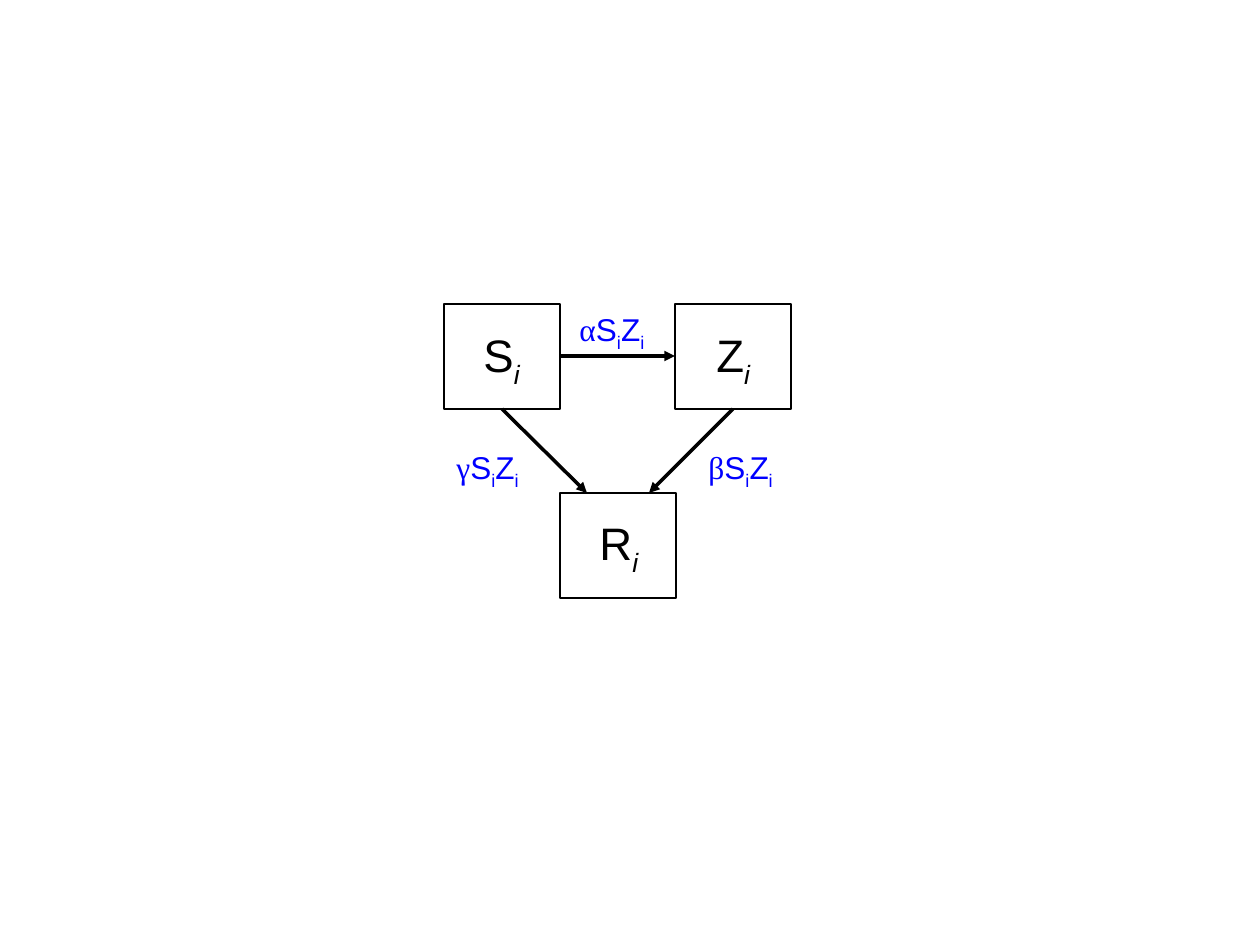
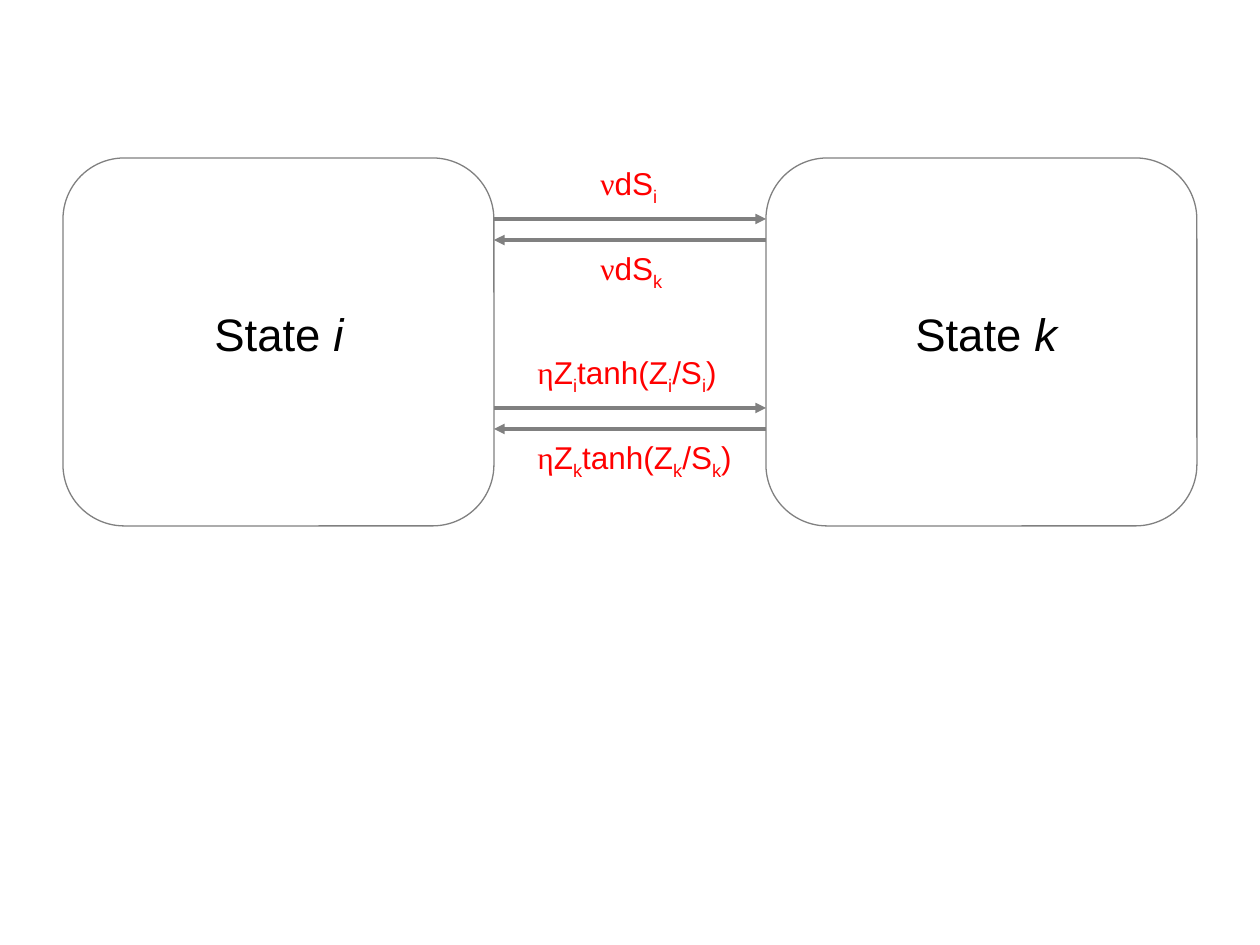
from dataclasses import dataclass

import pptx
import pptx.dml.color
import pptx.enum.shapes
import pptx.enum.text
import pptx.oxml
import pptx.oxml.ns
import pptx.util
from pptx.enum.shapes import MSO_SHAPE

PIXEL = 914400 // 126
COLORS = {"ink": "000000", "flow": "0000FF", "state": "808080", "travel": "FF0000"}
LATIN, GREEK = "Arial", "Times New Roman"
NAME_SIZE, RATE_SIZE = 26, 18
NAME_HEIGHT, RATE_HEIGHT = 68, 50


@dataclass(frozen=True)
class Frame:
    left: int
    top: int
    width: int
    height: int


@dataclass(frozen=True)
class Piece:
    text: str
    font: str = LATIN
    italic: bool = False
    subscript: bool = False


@dataclass(frozen=True)
class Label:
    frame: Frame
    pieces: list[Piece]
    size: int
    color: str


@dataclass(frozen=True)
class Arrow:
    start: tuple[int, int]
    end: tuple[int, int]
    color: str


def px(pixels: int) -> pptx.util.Emu:
    return pptx.util.Emu(pixels * PIXEL)


def rgb(color: str) -> pptx.dml.color.RGBColor:
    return pptx.dml.color.RGBColor.from_string(COLORS[color])


def formula(text: str) -> list[Piece]:
    """Split a formula: Greek first letter, then an index after each underscore."""
    first, *rest = text[1:].split("_")
    pieces = [Piece(text[0], font=GREEK), Piece(first)]
    for part in rest:
        pieces.append(Piece(part[0], subscript=True))
        if part[1:]:
            pieces.append(Piece(part[1:]))
    return pieces


def name_label(left: int, top: int, width: int, pieces: list[Piece]) -> Label:
    return Label(Frame(left, top, width, NAME_HEIGHT), pieces, NAME_SIZE, "ink")


def rate_label(left: int, top: int, width: int, text: str, color: str) -> Label:
    return Label(Frame(left, top, width, RATE_HEIGHT), formula(text), RATE_SIZE, color)


def draw_box(slide, kind: MSO_SHAPE, frame: Frame, color: str) -> None:
    box = slide.shapes.add_shape(
        kind, px(frame.left), px(frame.top), px(frame.width), px(frame.height))
    box.shadow.inherit = False
    box.fill.background()
    box.line.color.rgb = rgb(color)
    box.line.width = pptx.util.Pt(0.75)


def draw_arrow(slide, arrow: Arrow) -> None:
    connector = slide.shapes.add_connector(
        pptx.enum.shapes.MSO_CONNECTOR.STRAIGHT,
        *map(px, arrow.start), *map(px, arrow.end))
    connector.line.color.rgb = rgb(arrow.color)
    connector.line.width = pptx.util.Pt(2)
    namespace = pptx.oxml.ns.nsdecls("a")
    connector.line._get_or_add_ln().append(
        pptx.oxml.parse_xml(f'<a:tailEnd {namespace} type="triangle"/>'))
    connector._element.spPr.append(pptx.oxml.parse_xml(f"<a:effectLst {namespace}/>"))


def draw_label(slide, label: Label) -> None:
    frame = label.frame
    text_frame = slide.shapes.add_textbox(
        px(frame.left), px(frame.top), px(frame.width), px(frame.height)).text_frame
    text_frame.word_wrap = False
    text_frame.auto_size = pptx.enum.text.MSO_AUTO_SIZE.SHAPE_TO_FIT_TEXT
    for piece in label.pieces:
        run = text_frame.paragraphs[0].add_run()
        run.text = piece.text
        run.font.name = piece.font
        run.font.size = pptx.util.Pt(label.size)
        run.font.color.rgb = rgb(label.color)
        if piece.italic:
            run.font.italic = True
        if piece.subscript:
            run.font._element.set("baseline", "-25000")


def build_compartments(slide) -> None:
    width, height = 116, 105
    left, top = 444, 304
    bottom = top + height
    s_right, z_left = left + width, left + 2 * width - 1
    r_top = 493

    # Compartments and their names
    for box_left, box_top in ((left, top), (z_left, top), (s_right, r_top)):
        draw_box(slide, MSO_SHAPE.RECTANGLE,
                 Frame(box_left, box_top, width, height), "ink")
    for letter, name_left, name_top, name_width in (
            ("S", 471, 321, 67), ("Z", 704, 321, 64), ("R", 587, 509, 72)):
        index = Piece("i", italic=True, subscript=True)
        draw_label(slide, name_label(name_left, name_top, name_width,
                                     [Piece(letter), index]))

    # Flows between compartments
    middle = top + height // 2
    for start, end in (
            ((s_right, middle), (z_left, middle)),
            ((left + width // 2, bottom), (587, r_top)),
            ((z_left + width // 2, bottom), (649, r_top))):
        draw_arrow(slide, Arrow(start, end, "ink"))

    # Flow rates
    for greek, rate_left, rate_top, rate_width in (
            ("α", 567, top, 92), ("β", 696, 442, 92), ("γ", left, 442, 90)):
        draw_label(slide, rate_label(rate_left, rate_top, rate_width,
                                     greek + "S_iZ_i", "flow"))


def build_states(slide) -> None:
    width, height, top = 431, 368, 158
    left_state, right_state = 63, 766
    gap_left = left_state + width

    # States
    for left in (left_state, right_state):
        draw_box(slide, MSO_SHAPE.ROUNDED_RECTANGLE,
                 Frame(left, top, width, height), "state")

    # Travel out and back, with the rate above and below each pair of arrows
    for pair_top, rate_left, rate, out_width, back_width in (
            (top, 588, "νdS_{0}", 83, 89),
            (top + 189, 525, "ηZ_{0}tanh(Z_{0}/S_{0})", 210, 228)):
        out, back = pair_top + 61, pair_top + 82
        draw_arrow(slide, Arrow((gap_left, out), (right_state, out), "state"))
        draw_arrow(slide, Arrow((right_state, back), (gap_left, back), "state"))
        draw_label(slide, rate_label(rate_left, pair_top, out_width,
                                     rate.format("i"), "travel"))
        draw_label(slide, rate_label(rate_left, pair_top + 85, back_width,
                                     rate.format("k"), "travel"))

    # State names
    for index, name_left, name_width in (("i", 202, 161), ("k", 903, 174)):
        draw_label(slide, name_label(name_left, 300, name_width,
                                     [Piece("State "), Piece(index, italic=True)]))


presentation = pptx.Presentation()
presentation.slide_width = pptx.util.Inches(10)
presentation.slide_height = pptx.util.Inches(7.5)
for build in (build_compartments, build_states):
    build(presentation.slides.add_slide(presentation.slide_layouts[6]))
presentation.save("out.pptx")
